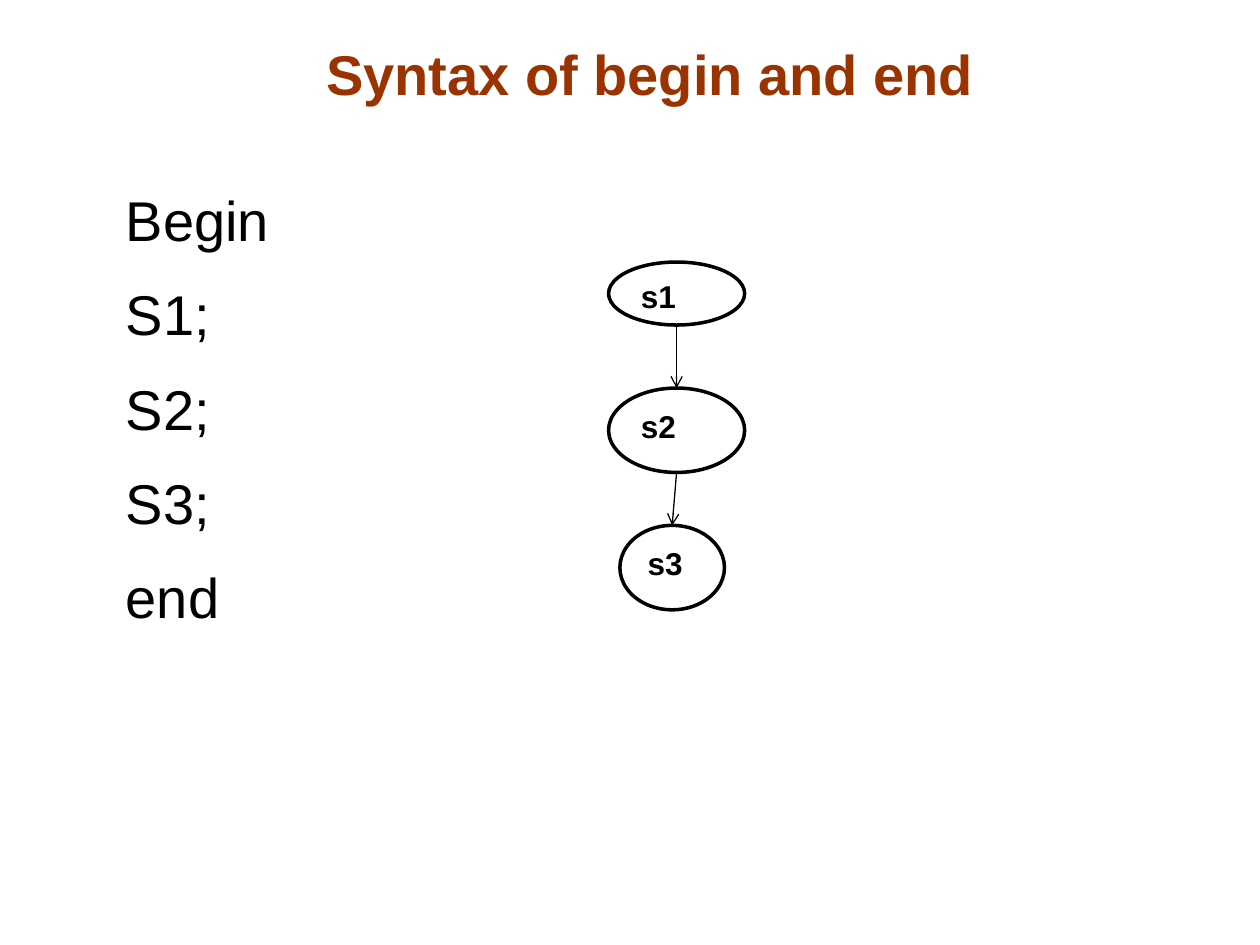
"""Build the slide on the syntax of begin and end."""
import pptx
import pptx.dml.color
import pptx.enum.shapes
import pptx.enum.text
import pptx.util
from lxml import etree
from pptx.oxml.ns import qn
from pptx.util import Inches, Pt

BLACK = pptx.dml.color.RGBColor(0x00, 0x00, 0x00)
WHITE = pptx.dml.color.RGBColor(0xFF, 0xFF, 0xFF)
RUST = pptx.dml.color.RGBColor(0x99, 0x33, 0x00)
FONT = "Arial"

TITLE = "Syntax of begin and end"
CODE_LINES = ["Begin", "S1;", "S2;", "S3;", "end"]
STATEMENTS = [
    ("s1", 4.83, 2.08, 1.08, 0.5),
    ("s2", 4.83, 3.08, 1.08, 0.67),
    ("s3", 4.92, 4.17, 0.83, 0.67),
]


def add_run(paragraph, text, size, color, bold=False):
    run = paragraph.add_run()
    run.text = text
    run.font.name = FONT
    run.font.size = Pt(size)
    run.font.color.rgb = color
    run.font.bold = bold


def add_text_frame(slide, left, top, width, height):
    box = slide.shapes.add_textbox(*map(Inches, (left, top, width, height)))
    box.text_frame.word_wrap = True
    return box.text_frame


def add_title(slide):
    frame = add_text_frame(slide, 0.75, 0.25, 8.82, 0.65)
    frame.vertical_anchor = pptx.enum.text.MSO_ANCHOR.BOTTOM
    heading = frame.paragraphs[0]
    heading.alignment = pptx.enum.text.PP_ALIGN.CENTER
    add_run(heading, TITLE, 32, RUST, bold=True)


def add_code(slide):
    frame = add_text_frame(slide, 0.9, 1.4, 8.02, 4.89)
    for index, code in enumerate(CODE_LINES):
        line = frame.add_paragraph() if index else frame.paragraphs[0]
        line.space_before = Pt(14)
        line.line_spacing = 1.04
        indent = line._p.get_or_add_pPr()
        indent.set("marL", str(Inches(0.38)))
        indent.set("indent", str(Inches(-0.38)))
        add_run(line, code, 32, BLACK)


def add_statement(slide, label, left, top, width, height):
    node = slide.shapes.add_shape(
        pptx.enum.shapes.MSO_SHAPE.OVAL, *map(Inches, (left, top, width, height)))
    node.shadow.inherit = False
    node.fill.solid()
    node.fill.fore_color.rgb = WHITE
    node.line.color.rgb = BLACK
    node.line.width = Pt(2)
    node.text_frame.vertical_anchor = pptx.enum.text.MSO_ANCHOR.TOP
    caption = node.text_frame.paragraphs[0]
    caption.alignment = pptx.enum.text.PP_ALIGN.LEFT
    add_run(caption, label, 18, BLACK, bold=True)
    return node


def add_arrow(slide, upper, lower):
    arrow = slide.shapes.add_connector(
        pptx.enum.shapes.MSO_CONNECTOR.STRAIGHT,
        upper.left + upper.width // 2, upper.top + upper.height,
        lower.left + lower.width // 2, lower.top)
    arrow.line.color.rgb = BLACK
    arrow.line.width = Pt(0.75)
    etree.SubElement(arrow.line._get_or_add_ln(), qn("a:tailEnd"), type="arrow")
    etree.SubElement(arrow._element.spPr, qn("a:effectLst"))


def main():
    deck = pptx.Presentation()
    deck.slide_width, deck.slide_height = Inches(10), Inches(7.5)
    slide = deck.slides.add_slide(deck.slide_layouts[6])
    add_title(slide)
    add_code(slide)
    nodes = [add_statement(slide, *statement) for statement in STATEMENTS]
    for upper, lower in zip(nodes, nodes[1:]):
        add_arrow(slide, upper, lower)
    deck.save("out.pptx")


if __name__ == "__main__":
    main()
